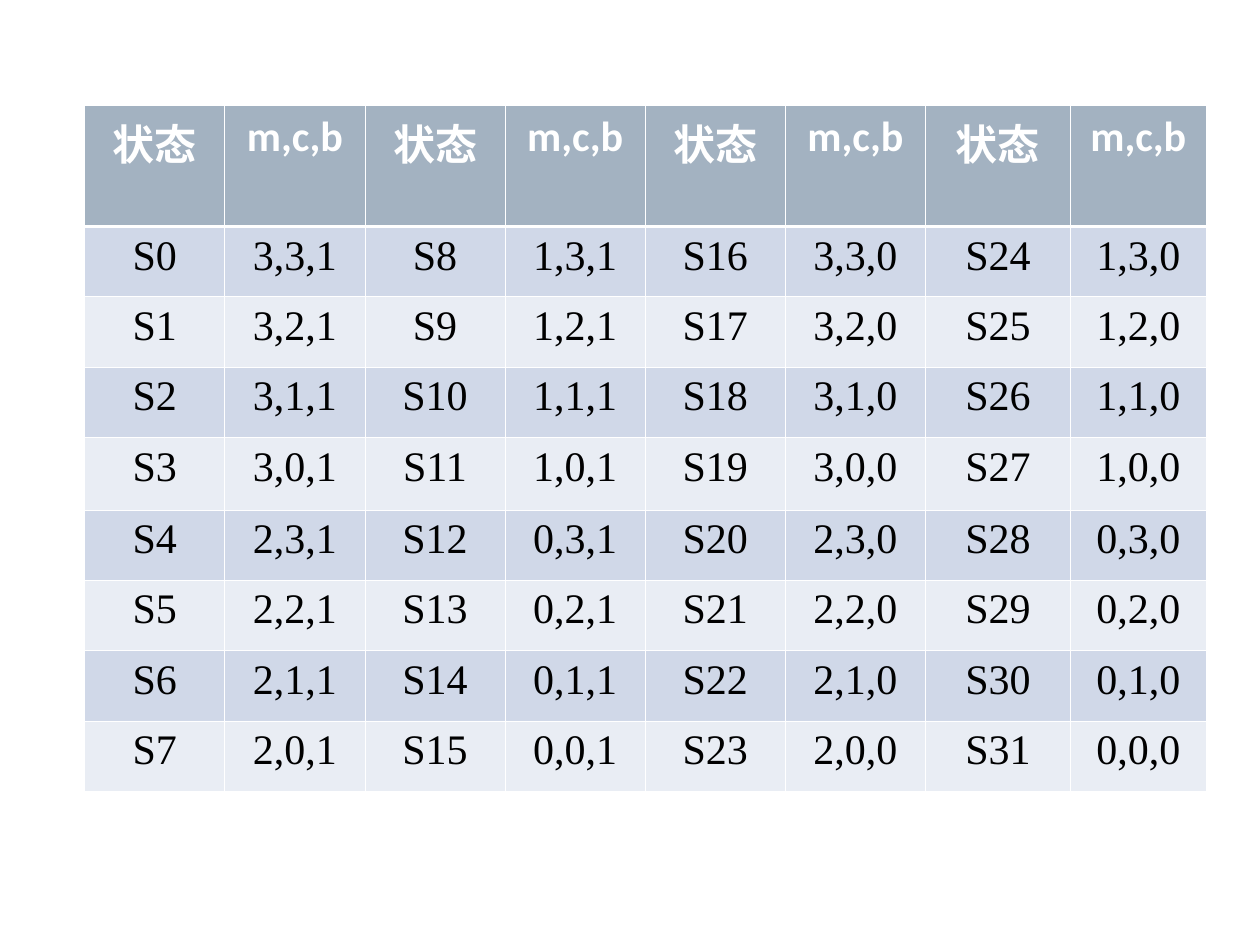
from pptx import Presentation
from pptx.dml.color import RGBColor
from pptx.enum.text import MSO_ANCHOR, PP_ALIGN
from pptx.oxml.ns import qn
from pptx.util import Pt
from lxml import etree

CENTER = PP_ALIGN.CENTER
TOP = MSO_ANCHOR.TOP
BLANK = 6
PAIRS, STATES_PER_PAIR = 4, 8


def rgb(value):
    return RGBColor.from_string(value)


class Deck:
    head_font, body_font, size = "Calibri", "Times New Roman", 24
    head_fill, bands = "A3B2C1", ("D0D8E8", "E9EDF4")
    white, black = "FFFFFF", "000000"
    thin, thick = 0.45, 1.47

    def __init__(self, width, height):
        self.prs = Presentation()
        self.prs.slide_width, self.prs.slide_height = Pt(width), Pt(height)
        self.s = self.prs.slides.add_slide(self.prs.slide_layouts[BLANK])

    def border(self, cell, side, width):
        tc_pr = cell._tc.get_or_add_tcPr()
        ln = etree.SubElement(tc_pr, qn(f"a:ln{side}"), w=str(Pt(width)))
        fill = etree.SubElement(ln, qn("a:solidFill"))
        etree.SubElement(fill, qn("a:srgbClr"), val=self.white)

    def cell(self, cell, text, row):
        head = row == 0
        cell.margin_left = cell.margin_right = Pt(7.2 if head else 5.76)
        cell.margin_top = cell.margin_bottom = Pt(3.6)
        cell.vertical_anchor = TOP
        self.border(cell, "L", self.thin)
        self.border(cell, "R", self.thin)
        self.border(cell, "T", self.thick if row == 1 else self.thin)
        self.border(cell, "B", self.thick if head else self.thin)
        cell.fill.solid()
        fill = self.head_fill if head else self.bands[(row - 1) % 2]
        cell.fill.fore_color.rgb = rgb(fill)
        p = cell.text_frame.paragraphs[0]
        p.text = text
        p.alignment = CENTER
        p.font.size = Pt(self.size)
        p.font.name = self.head_font if head else self.body_font
        p.font.bold = head
        p.font.color.rgb = rgb(self.white if head else self.black)

    def table(self, left, top, widths, heights, rows):
        frame = self.s.shapes.add_table(
            len(heights), len(widths), Pt(left), Pt(top),
            Pt(sum(widths)), Pt(sum(heights)))
        table = frame.table
        for column, width in zip(table.columns, widths):
            column.width = Pt(width)
        for row, height in zip(table.rows, heights):
            row.height = Pt(height)
        for i, texts in enumerate(rows):
            for j, text in enumerate(texts):
                self.cell(table.cell(i, j), text, i)


def state_cells(n):
    m, c, b = 3 - n // 4 % 4, 3 - n % 4, 1 - n // 16
    return [f"S{n}", f"{m},{c},{b}"]


def state_row(i):
    return [text for k in range(PAIRS)
            for text in state_cells(i + k * STATES_PER_PAIR)]


def main():
    deck = Deck(720, 540)
    rows = [["状态", "m,c,b"] * PAIRS]
    rows += [state_row(i) for i in range(STATES_PER_PAIR)]
    widths = [80.1] * 6 + [82.8, 77.6]
    heights = [69.2] + [40.2] * 3 + [41.4] + [40.2] * 4
    deck.table(48.4, 60.2, widths, heights, rows)
    deck.prs.save("out.pptx")


if __name__ == "__main__":
    main()
